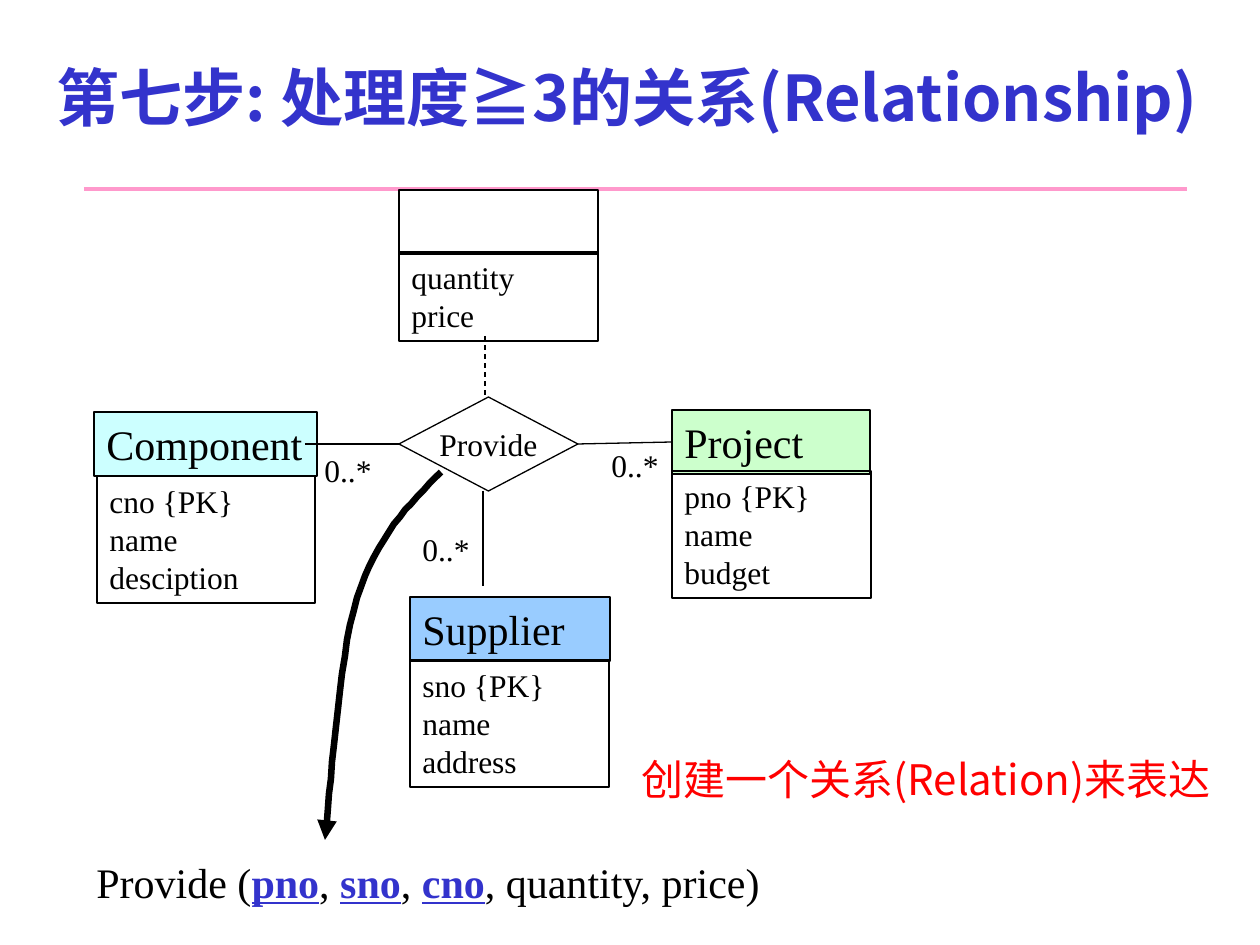
import pptx
import pptx.util
import pptx.dml.color
import pptx.enum.dml
import pptx.enum.shapes
import pptx.enum.text
import pptx.oxml
import pptx.oxml.ns

SERIF, SANS = "Times New Roman", "Noto Sans CJK SC"
BLACK, BLUE, RED, PINK = "000000", "3333CC", "FF0000", "FF99CC"

TITLE = "第七步: 处理度≧3的关系(Relationship)"
NOTE = "创建一个关系(Relation)来表达"
RELATION = [("Provide (", False), ("pno", True), (", ", False), ("sno", True),
            (", ", False), ("cno", True), (", quantity, price)", False)]

ENTITIES = [
    ("Project", "CCFFCC", (672, 410, 198, 64),
     ["pno {PK}", "name", "budget"], (672, 471, 199, 127)),
    ("Component", "CCFFFF", (94, 412, 223, 64),
     ["cno {PK}", "name", "desciption"], (97, 476, 218, 127)),
    ("Supplier", "99CCFF", (410, 597, 200, 64),
     ["sno {PK}", "name", "address"], (410, 660, 199, 127)),
    ("", None, (399, 190, 199, 64),
     ["quantity", "price"], (399, 252, 199, 89)),
]
DIAMOND = (399, 397, 179, 94)
MULTIPLICITIES = [(312, 445), (599, 440), (410, 524)]
ARROW = [[(441, 472), (408, 505), (377, 537), (357, 598)],
         [(357, 598), (338, 660), (330, 800), (325, 840)]]
STEPS = 16

MSO = pptx.enum.shapes.MSO_SHAPE
ALIGN = pptx.enum.text.PP_ALIGN
ANCHOR = pptx.enum.text.MSO_ANCHOR


def px(n):
    return pptx.util.Emu(round(n * 914400 / 126))


def rgb(value):
    return pptx.dml.color.RGBColor.from_string(value)


def child(parent, tag, **attrs):
    e = pptx.oxml.parse_xml(f"<a:{tag} {pptx.oxml.ns.nsdecls('a')}/>")
    for name, value in attrs.items():
        e.set(name, value)
    parent.append(e)


def style(r, size, color=BLACK, font=SERIF, bold=False):
    r.font.size = pptx.util.Pt(size)
    r.font.name = font
    r.font.bold = bold
    r.font.color.rgb = rgb(color)
    child(r._r.get_or_add_rPr(), "ea", typeface=font)


def write(sp, lines, size, color=BLACK, font=SERIF, bold=False, wrap=True,
          align=ALIGN.LEFT, anchor=ANCHOR.TOP):
    tf = sp.text_frame
    tf.word_wrap = wrap
    tf.vertical_anchor = anchor
    tf.text = "\n".join(lines)
    for p in tf.paragraphs:
        p.alignment = align
        for r in p.runs:
            style(r, size, color, font, bold)
    return tf.paragraphs[0]


def outline(sp, color=BLACK, width=0.75):
    sp.line.color.rgb = rgb(color)
    sp.line.width = pptx.util.Pt(width)


def box(s, kind, at, fill=None):
    sp = s.shapes.add_shape(kind, *map(px, at))
    sp.shadow.inherit = False
    if fill:
        sp.fill.solid()
        sp.fill.fore_color.rgb = rgb(fill)
    else:
        sp.fill.background()
    outline(sp)
    return sp


def line(s, ends, color=BLACK, width=0.75):
    c = s.shapes.add_connector(pptx.enum.shapes.MSO_CONNECTOR.STRAIGHT, *map(px, ends))
    outline(c, color, width)
    child(c._element.spPr, "effectLst")
    return c


def textbox(s, at):
    return s.shapes.add_textbox(*map(px, at))


def bezier(points, t):
    weights = ((1 - t) ** 3, 3 * t * (1 - t) ** 2, 3 * t * t * (1 - t), t ** 3)
    return tuple(sum(w * q[axis] for w, q in zip(weights, points)) for axis in (0, 1))


def add_texts(s):
    p = write(textbox(s, (18, 18, 1218, 158)), [TITLE], 36, BLUE, SANS, True,
              align=ALIGN.CENTER, anchor=ANCHOR.MIDDLE)
    p.line_spacing = pptx.util.Pt(42)

    p = write(textbox(s, (629, 747, 606, 76)), [NOTE], 24, RED, SANS)
    p.line_spacing = pptx.util.Pt(29)
    p.space_before = pptx.util.Pt(2.4)
    pPr = p._p.get_or_add_pPr()
    pPr.set("marL", str(px(5)))
    pPr.set("indent", str(-px(5)))

    tf = textbox(s, (84, 850, 850, 63)).text_frame
    tf.word_wrap = True
    for text, key in RELATION:
        r = tf.paragraphs[0].add_run()
        r.text = text
        style(r, 24, BLUE if key else BLACK, bold=key)
        r.font.underline = key


def add_diagram(s):
    heads = {}
    for name, fill, head_at, fields, body_at in ENTITIES:
        heads[name] = box(s, MSO.RECTANGLE, head_at, fill)
        if name:
            write(heads[name], [name], 24, wrap=False)
        write(box(s, MSO.RECTANGLE, body_at), fields, 18)

    diamond = box(s, MSO.DIAMOND, DIAMOND)
    write(diamond, ["Provide"], 18, wrap=False, align=ALIGN.CENTER, anchor=ANCHOR.MIDDLE)

    line(s, (305, 444, 399, 444)).end_connect(diamond, 1)
    c = line(s, (577, 442, 672, 442))
    c.begin_connect(diamond, 3)
    c.end_connect(heads["Project"], 1)
    line(s, (483, 491, 483, 586))
    line(s, (485, 336, 485, 399)).line.dash_style = pptx.enum.dml.MSO_LINE.DASH

    for x, y in MULTIPLICITIES:
        write(textbox(s, (x, y, 73, 50)), ["0..*"], 18, wrap=False)


def add_arrow(s):
    points = [bezier(seg, i / STEPS) for seg in ARROW for i in range(1, STEPS + 1)]
    start = ARROW[0][0]
    fb = s.shapes.build_freeform(*start, scale=914400 / 126)
    fb.add_line_segments(points, close=False)
    sp = fb.convert_to_shape()
    sp.shadow.inherit = False
    sp.fill.background()
    outline(sp, width=3.75)
    child(sp.line._get_or_add_ln(), "tailEnd", type="triangle")


def main():
    prs = pptx.Presentation()
    prs.slide_width, prs.slide_height = px(1260), px(945)
    s = prs.slides.add_slide(prs.slide_layouts[6])
    line(s, (84, 189, 1187, 189), PINK, 2)
    add_texts(s)
    add_diagram(s)
    add_arrow(s)
    prs.save("out.pptx")


if __name__ == "__main__":
    main()
